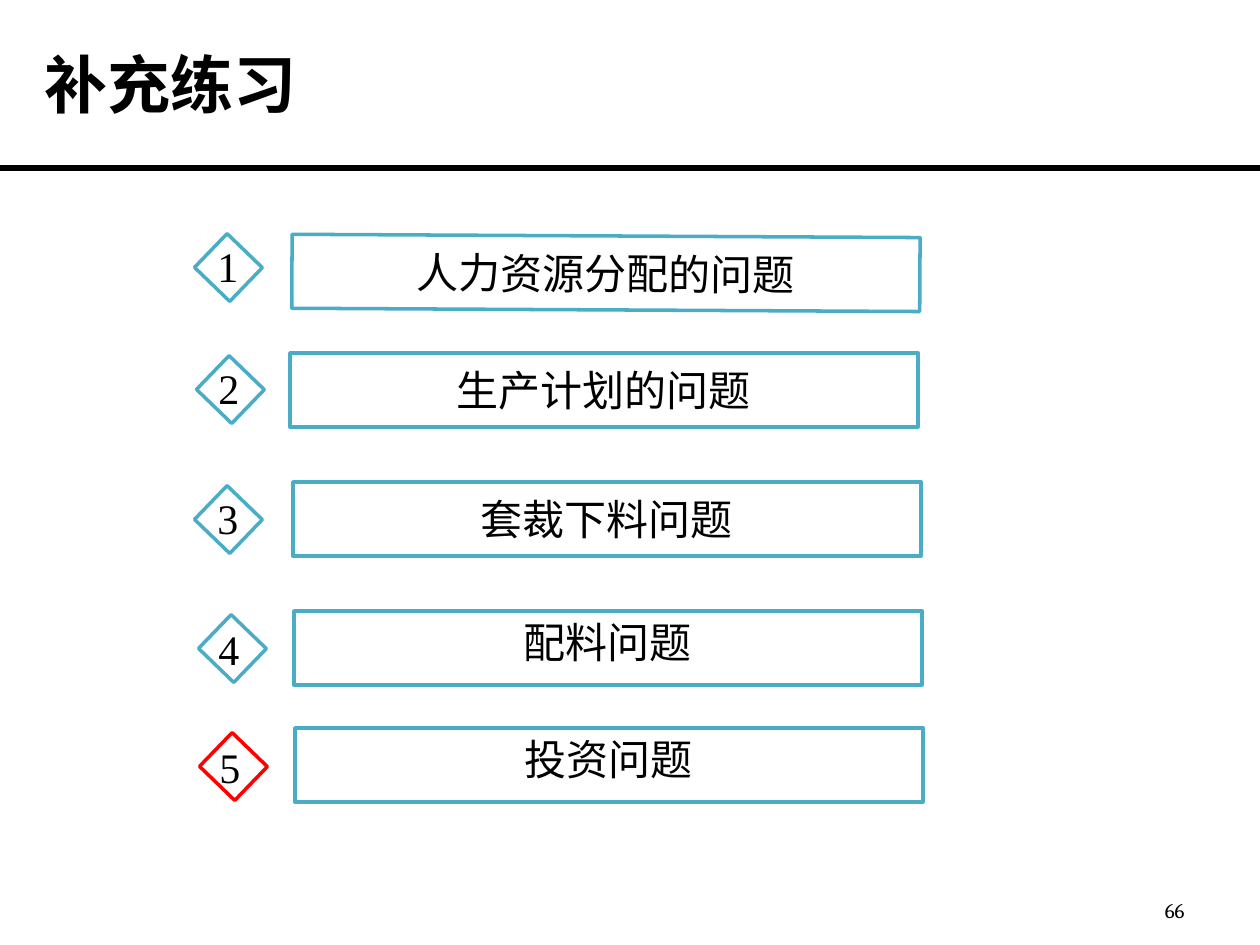
from dataclasses import dataclass

import pptx
import pptx.dml.color
import pptx.enum.shapes
import pptx.enum.text
import pptx.oxml.ns
import pptx.util
from lxml import etree

EMU_PER_PX = 914400 / 126
Color = pptx.dml.color.RGBColor
Align = pptx.enum.text.PP_ALIGN
Shape = pptx.enum.shapes.MSO_SHAPE
MIDDLE = pptx.enum.text.MSO_ANCHOR.MIDDLE


@dataclass(frozen=True)
class Theme:
    ink: Color = Color(0x00, 0x00, 0x00)
    paper: Color = Color(0xFF, 0xFF, 0xFF)
    teal: Color = Color(0x4B, 0xAC, 0xC6)
    red: Color = Color(0xFF, 0x00, 0x00)
    title_size: int = 36
    topic_size: int = 24
    page_size: int = 12
    outline: int = 2
    rule: int = 3
    title_font: str = "Arial"
    topic_font: str = "Noto Sans CJK SC"
    number_font: str = "Times New Roman"
    page_font: str = "Cambria"


THEME = Theme()


@dataclass(frozen=True)
class Topic:
    number: int
    name: str
    left: int
    top: int
    diamond_left: int
    diamond_top: int
    number_left: int
    number_top: int
    accent: Color = THEME.teal
    tilt: float = 0
    line_points: int | None = None


TOPICS = [
    Topic(1, "人力资源分配的问题", 292, 236, 205, 243, 205, 234, tilt=0.3),
    Topic(2, "生产计划的问题", 290, 353, 207, 365, 206, 356),
    Topic(3, "套裁下料问题", 293, 482, 205, 495, 205, 486),
    Topic(4, "配料问题", 294, 611, 209, 624, 206, 617, line_points=22),
    Topic(5, "投资问题", 295, 728, 210, 742, 207, 735, THEME.red, line_points=22),
]


def px(length: int) -> pptx.util.Emu:
    return pptx.util.Emu(round(length * EMU_PER_PX))


def write(frame, text: str, font_name: str, size: int,
          align: Align = Align.LEFT, bold: bool = False):
    """Fill a text frame with one styled paragraph and return it."""
    frame.word_wrap = True
    paragraph = frame.paragraphs[0]
    paragraph.text = text
    paragraph.alignment = align
    font = paragraph.font
    font.name, font.size, font.bold = font_name, pptx.util.Pt(size), bold
    font.color.rgb = THEME.ink
    return paragraph


def add_box(slide, left: int, top: int, width: int, height: int,
            outline: Color, rotation: float):
    box = slide.shapes.add_shape(Shape.RECTANGLE, px(left), px(top), px(width), px(height))
    box.rotation = rotation
    box.shadow.inherit = False
    box.fill.solid()
    box.fill.fore_color.rgb = THEME.paper
    box.line.color.rgb = outline
    box.line.width = pptx.util.Pt(THEME.outline)
    return box


def add_topic(slide, topic: Topic) -> None:
    bar = add_box(slide, topic.left, topic.top, 628, 74, THEME.teal, topic.tilt)
    bar.text_frame.vertical_anchor = MIDDLE
    label = write(bar.text_frame, topic.name, THEME.topic_font, THEME.topic_size, Align.CENTER)
    if topic.line_points:
        label.line_spacing = pptx.util.Pt(topic.line_points)

    add_box(slide, topic.diamond_left, topic.diamond_top, 47, 49, topic.accent, 314)
    number = slide.shapes.add_textbox(px(topic.number_left), px(topic.number_top), px(40), px(51))
    write(number.text_frame, str(topic.number), THEME.number_font, THEME.topic_size)


def add_header(slide) -> None:
    rule = slide.shapes.add_connector(
        pptx.enum.shapes.MSO_CONNECTOR.STRAIGHT, px(0), px(168), px(1260), px(168))
    rule.line.color.rgb = THEME.ink
    rule.line.width = pptx.util.Pt(THEME.rule)
    etree.SubElement(rule._element.spPr, pptx.oxml.ns.qn("a:effectLst"))

    title = slide.shapes.title
    title.left, title.top, title.width, title.height = px(0), px(-2), px(1260), px(170)
    title.text_frame.vertical_anchor = MIDDLE
    title.text_frame.margin_left = px(44)
    write(title.text_frame, "补充练习", THEME.title_font, THEME.title_size, bold=True)


def add_page_number(slide) -> None:
    page = slide.shapes.add_textbox(px(903), px(885), px(294), px(50))
    page.text_frame.vertical_anchor = MIDDLE
    write(page.text_frame, "66", THEME.page_font, THEME.page_size, Align.RIGHT)


def main() -> None:
    deck = pptx.Presentation()
    deck.slide_width, deck.slide_height = px(1260), px(945)
    slide = deck.slides.add_slide(deck.slide_layouts[5])
    add_header(slide)
    for topic in TOPICS:
        add_topic(slide, topic)
    add_page_number(slide)
    deck.save("out.pptx")


if __name__ == "__main__":
    main()
